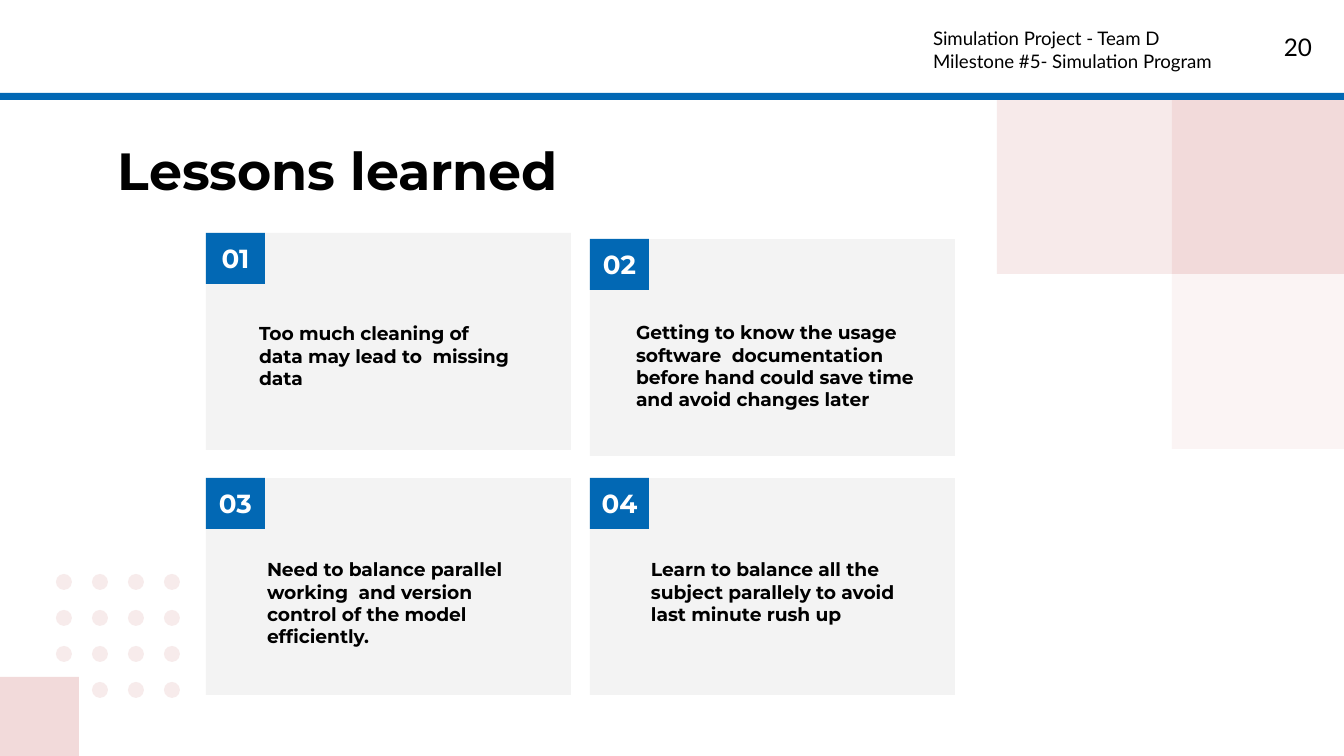
"""Build the "Lessons learned" slide with four numbered cards."""
from lxml import etree
from pptx import Presentation
from pptx.dml.color import RGBColor
from pptx.enum.shapes import MSO_SHAPE
from pptx.enum.text import MSO_ANCHOR, PP_ALIGN
from pptx.oxml.ns import qn
from pptx.util import Pt

RECT, OVAL = MSO_SHAPE.RECTANGLE, MSO_SHAPE.OVAL
LEFT, CENTER, RIGHT = PP_ALIGN.LEFT, PP_ALIGN.CENTER, PP_ALIGN.RIGHT
TOP, MIDDLE = MSO_ANCHOR.TOP, MSO_ANCHOR.MIDDLE
SCALE = 914400 / 134.4
THEME = {
    "blue": "0268B4", "pink": "F2DADA", "dot": "F7EBEB", "card": "F3F3F3",
    "white": "FFFFFF", "black": "000000",
    "head": "Montserrat", "body": "Lato",
    "title": 28, "badge": 14, "page": 13, "text": 10,
}


def add_block(kind, box, color, alpha=100):
    sp = s.shapes.add_shape(kind, *[round(v * SCALE) for v in box])
    sp.shadow.inherit = False
    sp.line.fill.background()
    sp.fill.solid()
    sp.fill.fore_color.rgb = RGBColor.from_string(THEME[color])
    if alpha < 100:
        rgb = sp._element.spPr.find(".//" + qn("a:srgbClr"))
        etree.SubElement(rgb, qn("a:alpha")).set("val", str(alpha * 1000))
    return sp


def write(sp, lines, size, font="head", color="black", bold=True,
          align=LEFT, anchor=TOP, side=13, after=0):
    tf = sp.text_frame
    tf.word_wrap = True
    tf.vertical_anchor = anchor
    tf.margin_left = tf.margin_right = round(side * SCALE)
    tf.margin_top = tf.margin_bottom = round(13 * SCALE)
    for i, line in enumerate(lines):
        p = tf.add_paragraph() if i else tf.paragraphs[0]
        p.alignment = align
        p.space_after = Pt(after)
        r = p.add_run()
        r.text = line
        r.font.name = THEME[font]
        r.font.size = Pt(THEME[size])
        r.font.bold = bold
        r.font.color.rgb = RGBColor.from_string(THEME[color])


prs = Presentation()
prs.slide_width = round(1344 * SCALE)
prs.slide_height = round(756 * SCALE)
s = prs.slides.add_slide(prs.slide_layouts[6])

for row in range(4):
    for col in range(4):
        if (row, col) != (3, 0):
            add_block(OVAL, (56 + 36 * col, 574 + 36 * row, 16, 16), "dot")

add_block(RECT, (0, 677, 79, 79), "pink")
add_block(RECT, (1172, 100, 172, 174), "pink")
add_block(RECT, (1172, 274, 172, 175), "pink", 28)
add_block(RECT, (997, 100, 175, 174), "pink", 55)
add_block(RECT, (0, 93, 1344, 7), "blue")

cards = [
    ("01", 206, 233, (246, 309, 284, 85),
     "Too much cleaning of data may lead to  missing data"),
    ("02", 590, 239, (623, 308, 313, 85),
     "Getting to know the usage software  documentation before hand "
     "could save time and avoid changes later"),
    ("03", 206, 478, (254, 545, 284, 85),
     "Need to balance parallel working  and version control of the model "
     "efficiently."),
    ("04", 590, 478, (638, 545, 284, 85),
     "Learn to balance all the subject parallely to avoid last minute rush up"),
]
for number, x, y, box, lesson in cards:
    add_block(RECT, (x, y, 365, 217), "card")
    badge = add_block(RECT, (x, y, 59, 51), "blue")
    write(badge, [number], "badge", color="white", align=CENTER,
          anchor=MIDDLE, side=0)
    sp = s.shapes.add_textbox(*[round(v * SCALE) for v in box])
    write(sp, [lesson], "text", after=8)

labels = [
    ((105, 125, 1134, 85), ["Lessons learned"], "title", "head", True, LEFT),
    ((1245, 19, 80, 58), ["20"], "page", "body", False, RIGHT),
    ((920, 14, 364, 75),
     ["Simulation Project - Team D", "Milestone #5- Simulation Program"],
     "text", "body", False, LEFT),
]
for box, lines, size, font, bold, align in labels:
    sp = s.shapes.add_textbox(*[round(v * SCALE) for v in box])
    write(sp, lines, size, font, bold=bold, align=align)

prs.save("out.pptx")
